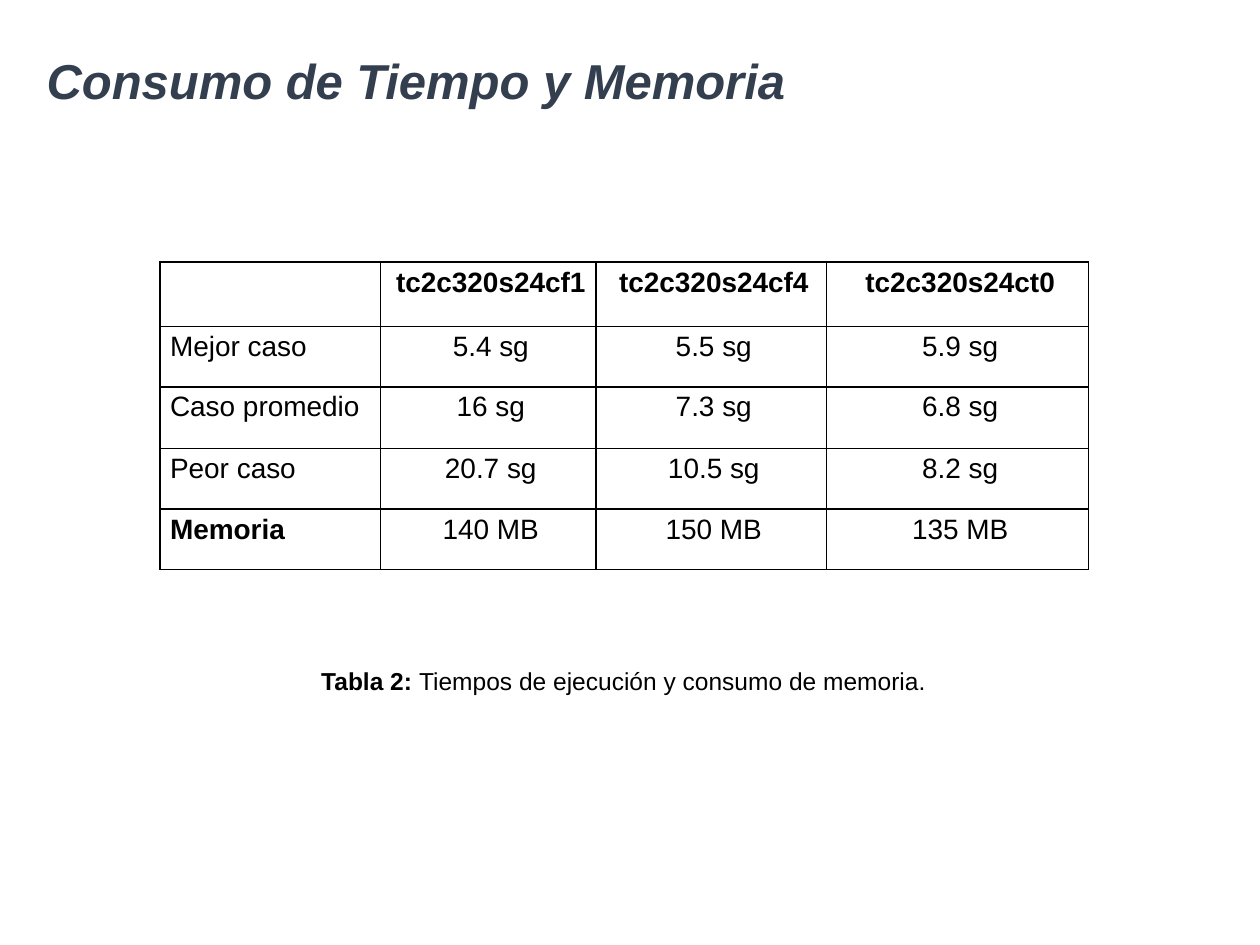
from lxml import etree
from pptx import Presentation
from pptx.dml.color import RGBColor
from pptx.enum import text
from pptx.oxml import ns
from pptx.util import Inches, Pt

# Content
TITLE = "Consumo de Tiempo y Memoria"
CAPTION = ("Tabla 2: ", "Tiempos de ejecución y consumo de memoria.")
TIMES = [
    ["", "tc2c320s24cf1", "tc2c320s24cf4", "tc2c320s24ct0"],
    ["Mejor caso", "5.4 sg", "5.5 sg", "5.9 sg"],
    ["Caso promedio", "16 sg", "7.3 sg", "6.8 sg"],
    ["Peor caso", "20.7 sg", "10.5 sg", "8.2 sg"],
]
MEMORY = [["Memoria", "140 MB", "150 MB", "135 MB"]]
BOLD_LABELS = set(TIMES[0]) | {"Memoria"}

# Style and measures
FONT = "Arial"
SLATE = RGBColor(0x33, 0x3F, 0x4F)
BLACK = RGBColor(0, 0, 0)
COLUMNS = [1.75, 1.71, 1.83, 2.08]
TIME_ROWS = [0.51, 0.48, 0.49, 0.48]
MEMORY_ROWS = [0.48]
TABLE_LEFT, TABLE_TOP = 1.27, 2.08
CELL_INSET = Inches(0.04)


def format_span(span, size, color, bold, italic=False):
    font = span.font
    font.name, font.size, font.bold, font.italic = FONT, Pt(size), bold, italic
    font.color.rgb = color


def add_borders(cell):
    properties = cell._tc.get_or_add_tcPr()
    for position, side in enumerate(("lnL", "lnR", "lnT", "lnB")):
        line = etree.Element(ns.qn(f"a:{side}"), w=str(Pt(1)))
        fill = etree.SubElement(line, ns.qn("a:solidFill"))
        etree.SubElement(fill, ns.qn("a:srgbClr"), val=str(BLACK))
        properties.insert(position, line)


def fill_cell(cell, label, is_first):
    cell.margin_left = cell.margin_right = CELL_INSET
    cell.margin_top = cell.margin_bottom = CELL_INSET
    cell.fill.background()
    add_borders(cell)
    if not label:
        return
    para = cell.text_frame.paragraphs[0]
    para.text = label
    para.alignment = text.PP_ALIGN.JUSTIFY if is_first else text.PP_ALIGN.CENTER
    para.space_after = Pt(6)
    indent = para._p.get_or_add_pPr()
    indent.set("marL", str(CELL_INSET))
    indent.set("indent", "0")
    format_span(para.runs[0], 16, BLACK, label in BOLD_LABELS)


def add_grid(page, rows, heights, top):
    frame = page.shapes.add_table(
        len(rows), len(COLUMNS), Inches(TABLE_LEFT), Inches(top),
        Inches(sum(COLUMNS)), Inches(sum(heights)))
    table = frame.table
    table.first_row = table.horz_banding = False
    for column, width in zip(table.columns, COLUMNS):
        column.width = Inches(width)
    for r, (labels, height) in enumerate(zip(rows, heights)):
        table.rows[r].height = Inches(height)
        for c, label in enumerate(labels):
            fill_cell(table.cell(r, c), label, c == 0)


def main():
    deck = Presentation()
    deck.slide_width, deck.slide_height = Inches(10), Inches(7.5)
    page = deck.slides.add_slide(deck.slide_layouts[5])

    # Title
    title = page.shapes.title
    title.left, title.top = Inches(0.27), Inches(0.33)
    title.width, title.height = Inches(8.62), Inches(0.67)
    title.text_frame.text = TITLE
    title.text_frame.vertical_anchor = text.MSO_ANCHOR.MIDDLE
    para = title.text_frame.paragraphs[0]
    para.alignment = text.PP_ALIGN.LEFT
    para.line_spacing = 0.9
    format_span(para.runs[0], 28, SLATE, True, True)

    # Caption
    box = page.shapes.add_textbox(Inches(1), Inches(5.24), Inches(7.9), Inches(0.54))
    box.text_frame.word_wrap = True
    para = box.text_frame.paragraphs[0]
    para.alignment = text.PP_ALIGN.CENTER
    for words, bold in zip(CAPTION, (True, False)):
        span = para.add_run()
        span.text = words
        format_span(span, 14, BLACK, bold)

    # Times table with the memory table right below it
    add_grid(page, TIMES, TIME_ROWS, TABLE_TOP)
    add_grid(page, MEMORY, MEMORY_ROWS, TABLE_TOP + sum(TIME_ROWS))

    deck.save("out.pptx")


if __name__ == "__main__":
    main()
